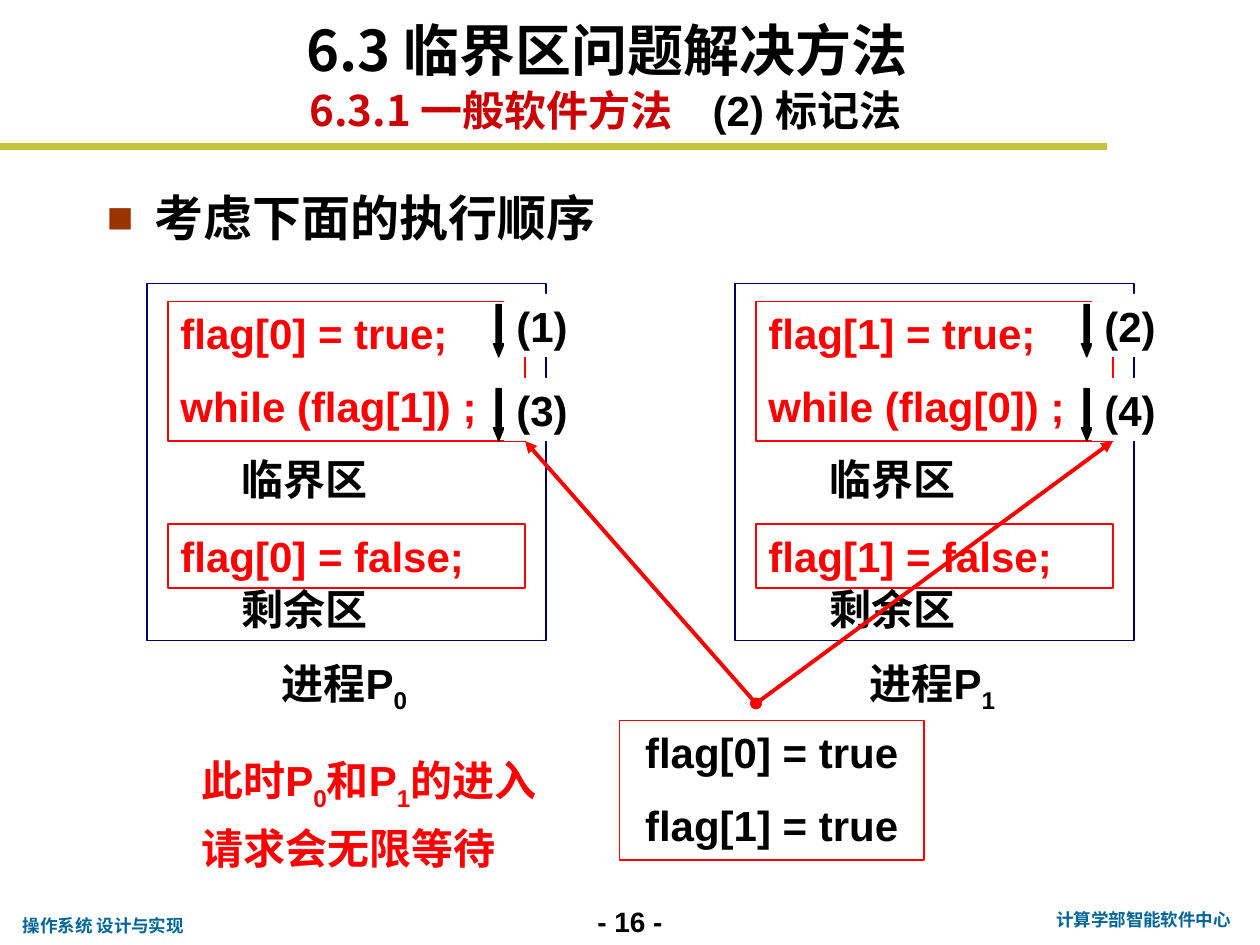
from lxml.etree import SubElement
from pptx import Presentation
from pptx.dml.color import RGBColor
from pptx.enum.shapes import MSO_CONNECTOR, MSO_SHAPE
from pptx.enum.text import MSO_ANCHOR, PP_ALIGN
from pptx.oxml.ns import qn
from pptx.util import Inches, Pt

BLACK = RGBColor(0x00, 0x00, 0x00)
WHITE = RGBColor(0xFF, 0xFF, 0xFF)
RED = RGBColor(0xFF, 0x00, 0x00)
CRIMSON = RGBColor(0xCC, 0x00, 0x00)
NAVY = RGBColor(0x00, 0x00, 0x66)
TEAL = RGBColor(0x00, 0x66, 0x99)
OLIVE = RGBColor(0xC1, 0xC4, 0x3C)
CJK_FONT = "Noto Sans CJK SC"
COLUMNS, ROWS = 120, 90


def grid(*values):
    """Turn grid units of a twelfth of an inch into lengths."""
    return [Inches(value / 12) for value in values]


def format_span(span, size, color, font="Arial"):
    """Set size, colour and Latin and East Asian fonts of one run."""
    span.font.size = Pt(size)
    span.font.bold = True
    span.font.name = font
    span.font.color.rgb = color
    SubElement(span._r.get_or_add_rPr(), qn("a:ea"), typeface=CJK_FONT)


def write(frame, lines, size=24, color=BLACK, align=PP_ALIGN.LEFT, font="Arial",
          anchor=MSO_ANCHOR.TOP):
    """Fill a frame; in each line every second piece is a subscript."""
    frame.word_wrap = True
    frame.vertical_anchor = anchor
    for number, pieces in enumerate(lines):
        para = frame.add_paragraph() if number else frame.paragraphs[0]
        para.alignment = align
        if number:
            para.space_before = Pt(13)
        for index, piece in enumerate(pieces):
            span = para.add_run()
            span.text = piece
            format_span(span, size, color, font)
            if index % 2:
                span._r.get_or_add_rPr().set("baseline", "-25000")


def add_text(page, box, lines, **style):
    """Place a text box on the grid and return its first paragraph."""
    frame = page.shapes.add_textbox(*grid(*box)).text_frame
    write(frame, lines, **style)
    return frame.paragraphs[0]


def add_box(page, box, line=None, fill=None, kind=MSO_SHAPE.RECTANGLE):
    """Place a preset shape on the grid."""
    shape = page.shapes.add_shape(kind, *grid(*box))
    shape.shadow.inherit = False
    if fill is None:
        shape.fill.background()
    else:
        shape.fill.solid()
        shape.fill.fore_color.rgb = fill
    if line is None:
        shape.line.fill.background()
    else:
        shape.line.color.rgb = line
        shape.line.width = Pt(0.75)
    return shape


def add_line(page, start, end, color, width):
    """Draw a straight line between two grid points."""
    line = page.shapes.add_connector(MSO_CONNECTOR.STRAIGHT, *grid(*start, *end))
    line.line.color.rgb = color
    line.line.width = Pt(width)
    SubElement(line._element.spPr, qn("a:effectLst"))
    return line


def add_header(page, left, top):
    """Place the title, the two-coloured subtitle and the rule."""
    title = page.shapes.title
    title.left, title.top, title.width, title.height = grid(left, top, 66, 7.5)
    write(title.text_frame, [["6.3 临界区问题解决方法"]], size=32, font=CJK_FONT,
          anchor=MSO_ANCHOR.BOTTOM)
    para = add_text(page, (left + 0.3, top + 7, 80, 5), [["6.3.1 一般软件方法\t"]],
                    color=CRIMSON, font=CJK_FONT, anchor=MSO_ANCHOR.MIDDLE)
    tabs = SubElement(para._p.get_or_add_pPr(), qn("a:tabLst"))
    SubElement(tabs, qn("a:tab"), pos=str(Inches(3.2)), algn="l")
    topic = para.add_run()
    topic.text = "(2) 标记法"
    format_span(topic, 24, BLACK)
    add_line(page, (0, 14), (105.4, 14), OLIVE, 4)


def add_bullet(page, box, text):
    """Place the lead sentence with its square bullet."""
    para = add_text(page, box, [[text]], size=28)
    para.line_spacing = 1.3
    properties = para._p.get_or_add_pPr()
    properties.set("marL", str(Inches(0.38)))
    properties.set("indent", str(Inches(-0.38)))
    color = SubElement(properties, qn("a:buClr"))
    SubElement(color, qn("a:srgbClr"), val="993300")
    SubElement(properties, qn("a:buSzPct"), val="90000")
    SubElement(properties, qn("a:buFont"), typeface="Arial")
    SubElement(properties, qn("a:buChar"), char="■")


def add_step(page, left, top, label):
    """Place a down arrow with its step number."""
    arrow = add_box(page, (left, top + 1, 1, 5), BLACK, BLACK, MSO_SHAPE.DOWN_ARROW)
    arrow.adjustments[0], arrow.adjustments[1] = 0.5, 1.25
    number = add_box(page, (left + 1, top, 10, 6), fill=WHITE)
    write(number.text_frame, [[label]])


def add_process(page, box, own, other, steps):
    """Draw the code of one process with its steps and caption."""
    left, top, width, height = box
    add_box(page, box, NAVY)
    entry = add_box(page, (left + 2, top + 1.7, width - 4, 13.3), RED)
    write(entry.text_frame, [[f"flag[{own}] = true;"], [f"while (flag[{other}]) ;"]],
          color=RED)
    release = add_box(page, (left + 2, top + 22.9, width - 4, 6.1), RED)
    write(release.text_frame, [[f"flag[{own}] = false;"]], color=RED)
    for offset, name in ((15.6, "临界区"), (28, "剩余区")):
        add_text(page, (left + 4, top + offset, 22, 6), [[name]], align=PP_ALIGN.CENTER)
    add_text(page, (left + 5.3, top + height + 1, 27, 6), [["进程P", str(own)]],
             align=PP_ALIGN.CENTER)
    for row, label in enumerate(steps):
        add_step(page, left + 33, top + 1 + 8 * row, label)


def add_result(page, box, targets):
    """Draw the flag values and arrows to the waiting loops."""
    left, top, width, height = box
    result = add_box(page, box, RED)
    write(result.text_frame, [["flag[0] = true"], ["flag[1] = true"]],
          align=PP_ALIGN.CENTER)
    for target in targets:
        pointer = add_line(page, (left + 13, top - 1.6), target, RED, 2.25)
        outline = pointer.line._get_or_add_ln()
        SubElement(outline, qn("a:headEnd"), type="oval")
        SubElement(outline, qn("a:tailEnd"), type="triangle")


def add_conclusion(page, box):
    """Place the red remark about endless waiting."""
    para = add_text(page, box, [["此时P", "0", "和P", "1", "的进入请求会无限等待"]], color=RED)
    para.level = 1
    para.line_spacing = 1.2
    properties = para._p.get_or_add_pPr()
    properties.set("marL", str(Inches(0.5)))
    properties.set("indent", "0")


def add_footer(page, top):
    """Place the course name, page number and department."""
    add_text(page, (1, top + 1, 19, 3.2), [["操作系统 设计与实现"]], size=10, color=TEAL,
             font="Roboto")
    add_text(page, (54, top, 12, 4.4), [["- 16 -"]], size=16, align=PP_ALIGN.CENTER)
    add_text(page, (99, top + 0.4, 19.8, 3.2), [["计算学部智能软件中心"]], size=10,
             color=TEAL, align=PP_ALIGN.CENTER, font="Roboto")


def main():
    """Build the slide and save the deck."""
    deck = Presentation()
    deck.slide_width, deck.slide_height = grid(COLUMNS, ROWS)
    page = deck.slides.add_slide(deck.slide_layouts[5])
    add_footer(page, 85.6)
    add_header(page, 28, 1)
    add_bullet(page, (9, 15.6, 104, 11.4), "考虑下面的执行顺序")
    add_process(page, (14, 27, 38, 34), 0, 1, ("(1)", "(3)"))
    add_process(page, (70, 27, 38, 34), 1, 0, ("(2)", "(4)"))
    add_result(page, (59, 68.6, 29, 13.3), ((50, 42), (106, 42)))
    add_conclusion(page, (12, 70.2, 42, 12.7))
    deck.save("out.pptx")


if __name__ == "__main__":
    main()
